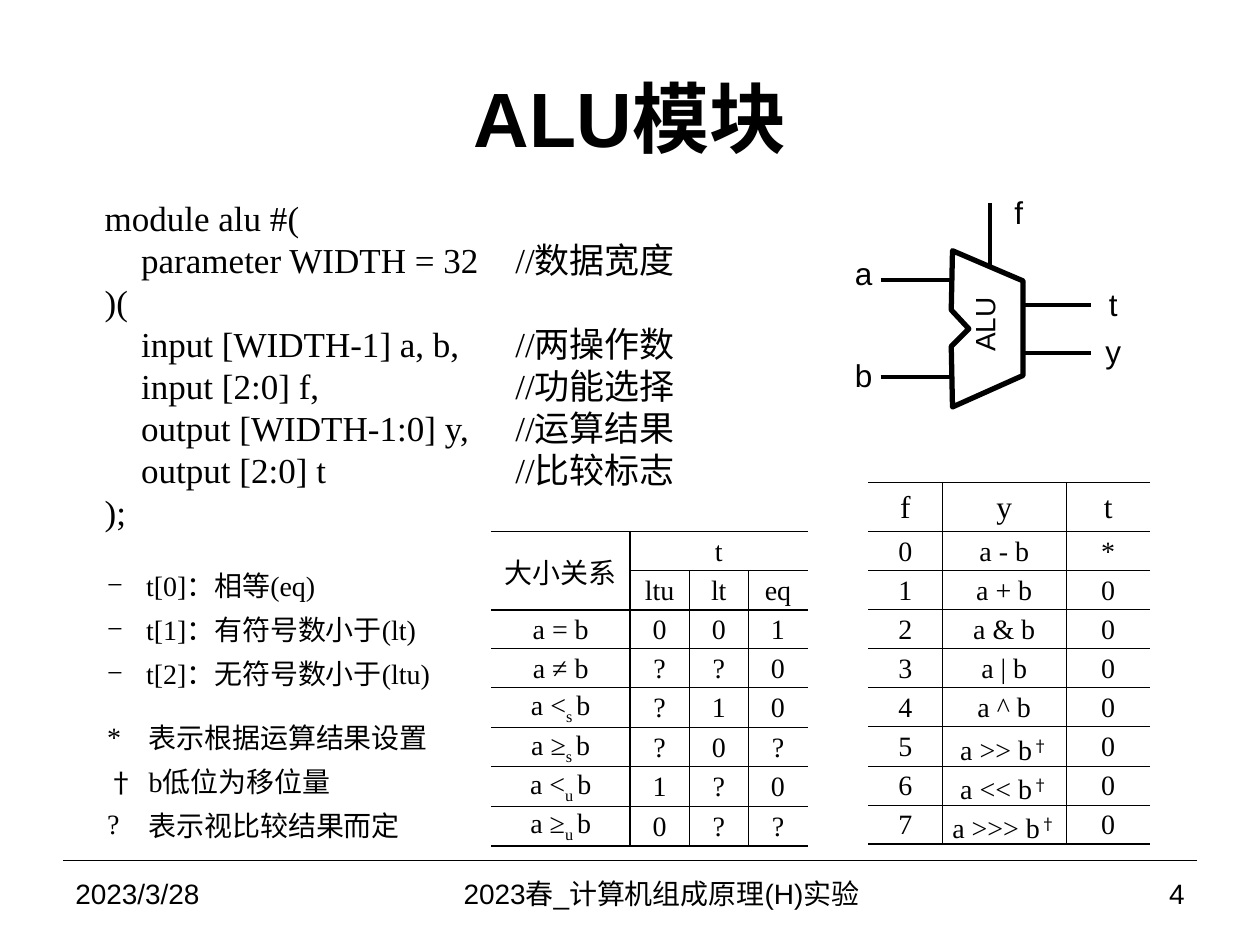
from dataclasses import dataclass

from lxml import etree
from pptx import Presentation
from pptx.dml.color import RGBColor
from pptx.enum import shapes, text
from pptx.oxml import ns
from pptx.util import Inches, Pt

ALIGN, ANCHOR = text.PP_ALIGN, text.MSO_ANCHOR


@dataclass(frozen=True)
class Theme:
    ink: RGBColor = RGBColor(0, 0, 0)
    sans: str = "Arial"
    serif: str = "Times New Roman"
    cjk: str = "Noto Sans CJK SC"
    title: int = 44
    code: int = 20
    code_pitch: int = 24
    label: int = 18
    small: int = 16
    rule: float = 0.75
    wire: float = 2.25
    outline: int = 3
    thick: float = 1
    thin: float = 0.5


T = Theme()
SUB, SUP = -25000, 30000
DAGGER = ("†", SUP)
FLAT = dict.fromkeys(("margin_left", "margin_right", "margin_top", "margin_bottom"), 0)
CELL = {**dict.fromkeys(("margin_left", "margin_right", "margin_top"), Inches(0.01)),
        "margin_bottom": 0, "vertical_anchor": ANCHOR.MIDDLE}


def put(obj, values):
    for name, value in values.items():
        setattr(obj, name, value)


def node(parent, tag, **attrs):
    return etree.SubElement(parent, ns.qn(tag), {k: str(v) for k, v in attrs.items()})


def add_run(p, words, size, font=T.serif, bold=False, baseline=0):
    r = p.add_run()
    r.text = words
    put(r.font, {"name": font, "size": Pt(size), "bold": bold})
    r.font.color.rgb = T.ink
    node(r.font._element, "a:ea", typeface=T.cjk)
    if baseline:
        r.font._element.set("baseline", str(baseline))


def next_paragraph(tf, i):
    return tf.add_paragraph() if i else tf.paragraphs[0]


def place(s, box):
    put(s, dict(zip(("left", "top", "width", "height"), map(Inches, box))))


def add_text(parent, box, words, size, align=None, **frame):
    tf = parent.add_textbox(*map(Inches, box)).text_frame
    put(tf, {"word_wrap": True, "vertical_anchor": ANCHOR.MIDDLE, **frame})
    tf.paragraphs[0].alignment = align
    add_run(tf.paragraphs[0], words, size, T.sans)
    return tf


def add_line(parent, x1, y1, x2, y2, width):
    c = parent.add_connector(shapes.MSO_CONNECTOR.STRAIGHT, *map(Inches, (x1, y1, x2, y2)))
    c.line.color.rgb = T.ink
    c.line.width = Pt(width)
    node(c._element.spPr, "a:effectLst")


def add_title(slide, box):
    s = slide.shapes.title
    place(s, box)
    s.text_frame.vertical_anchor = ANCHOR.MIDDLE
    p = s.text_frame.paragraphs[0]
    p.alignment = ALIGN.CENTER
    add_run(p, "ALU模块", T.title, T.sans, True)


def add_code_column(slide, box, lines, **frame):
    tf = slide.shapes.add_textbox(*map(Inches, box)).text_frame
    put(tf, {"word_wrap": True, **frame})
    for i, (level, skipped, words) in enumerate(lines):
        p = next_paragraph(tf, i)
        put(p, {"line_spacing": Pt(T.code_pitch), "space_before": Pt(T.code_pitch * skipped)})
        p._p.get_or_add_pPr().set("indent", str(Inches(0.29 * level)))
        add_run(p, words, T.code)


def add_code(slide, x, y, width, height):
    code = [(0, "module alu #("), (1, "parameter WIDTH = 32"), (0, ")("),
            (1, "input [WIDTH-1] a, b,"), (1, "input [2:0] f,"),
            (1, "output [WIDTH-1:0] y,"), (1, "output [2:0] t"), (0, ");")]
    comments = [(0, "//数据宽度"), (1, "//两操作数"), (0, "//功能选择"),
                (0, "//运算结果"), (0, "//比较标志")]
    split = 3.65
    add_code_column(slide, (x, y, split, height), [(level, 0, words) for level, words in code],
                    margin_left=Inches(0.39))
    pitch = T.code_pitch / 72
    add_code_column(slide, (x + split, y + pitch, width - split, height - 2 * pitch),
                    [(0, skipped, words) for skipped, words in comments], margin_left=0)


def add_notes(slide, box):
    notes = [("−", "t[0]：相等(eq)"), ("−", "t[1]：有符号数小于(lt)"),
             ("−", "t[2]：无符号数小于(ltu)"), ("*", "表示根据运算结果设置"),
             ("†", "b低位为移位量"), ("?", "表示视比较结果而定")]
    s = slide.placeholders[1]
    place(s, box)
    tf = s.text_frame
    put(tf, {"vertical_anchor": ANCHOR.MIDDLE, "auto_size": text.MSO_AUTO_SIZE.NONE})
    for i, (mark, words) in enumerate(notes):
        p = next_paragraph(tf, i)
        put(p, {"line_spacing": Pt(19), "space_after": Pt(6),
                "space_before": Pt(12 if mark == "*" else 0)})
        pPr = p._p.get_or_add_pPr()
        hang = Inches(0.31 if mark == "−" else 0.33)
        pPr.set("marL", str(hang))
        pPr.set("indent", str(-hang))
        node(pPr, "a:buFont", typeface=T.cjk if mark == "†" else T.serif)
        node(pPr, "a:buChar", char=mark)
        add_run(p, words, T.small)


def add_alu(slide, x, y):
    g = slide.shapes.add_group_shape().shapes
    wires = [(0.3, 0.67, 0.86, 0.67), (0.3, 1.44, 0.86, 1.44), (1.41, 0.87, 1.97, 0.87),
             (1.41, 1.25, 1.97, 1.25), (1.17, 0.06, 1.17, 0.56)]
    for x1, y1, x2, y2 in wires:
        add_line(g, x + x1, y + y1, x + x2, y + y2, T.wire)

    corners = [(0.87, 0.44), (1.43, 0.68), (1.43, 1.43), (0.87, 1.68),
               (0.86, 1.2), (1, 1.06), (0.86, 0.91)]
    points = [(Inches(x + dx), Inches(y + dy)) for dx, dy in corners]
    outline = g.build_freeform(*points[0])
    outline.add_line_segments(points[1:], close=True)
    s = outline.convert_to_shape()
    s.shadow.inherit = False
    s.fill.background()
    s.line.color.rgb = T.ink
    s.line.width = Pt(T.outline)

    ports = [("a", 0, 0.48, 0.33), ("b", 0, 1.29, 0.33), ("t", 1.98, 0.73, 0.33),
             ("y", 1.98, 1.1, 0.33), ("f", 1.11, 0, 0.57)]
    for name, dx, dy, width in ports:
        add_text(g, (x + dx, y + dy, width, 0.27), name, T.label, ALIGN.CENTER, **FLAT)
    tf = add_text(g, (x + 0.94, y + 0.8, 0.47, 0.54), "ALU", T.small,
                  word_wrap=False, vertical_anchor=ANCHOR.TOP)
    tf._txBody.bodyPr.set("vert", "vert270")


def add_border(cell, side, width):
    tcPr = cell._tc.get_or_add_tcPr()
    ln = node(tcPr, "a:ln" + side, w=Pt(width))
    if width:
        node(node(ln, "a:solidFill"), "a:srgbClr", val=T.ink)
    else:
        node(ln, "a:noFill")


def add_grid(slide, x, y, cols, heights, rows, header, head_size, merges=()):
    box = (x, y, sum(cols), sum(heights))
    t = slide.shapes.add_table(len(rows), len(cols), *map(Inches, box)).table
    put(t, {"first_row": False, "horz_banding": False})
    for col, width in zip(t.columns, cols):
        col.width = Inches(width)
    for row, height in zip(t.rows, heights):
        row.height = Inches(height)
    for first, last in merges:
        t.cell(*first).merge(t.cell(*last))

    across = [T.thick if i in (0, header, len(rows)) else T.thin for i in range(len(rows) + 1)]
    down = [0, T.thick] + [T.thin] * (len(cols) - 2) + [0]
    for i, row in enumerate(rows):
        for j, content in enumerate(row):
            cell = t.cell(i, j)
            if cell.is_spanned:
                continue
            put(cell, CELL)
            bottom = i + (cell.span_height if cell.is_merge_origin else 1)
            right = j + (cell.span_width if cell.is_merge_origin else 1)
            for side, width in (("L", down[j]), ("R", down[right]),
                                ("T", across[i]), ("B", across[bottom])):
                add_border(cell, side, width)
            cell.fill.background()
            p = cell.text_frame.paragraphs[0]
            p.alignment = ALIGN.CENTER
            for words, baseline in [(content, 0)] if isinstance(content, str) else content:
                add_run(p, words, head_size if i < header else T.small,
                        T.cjk if baseline == SUP else T.serif, baseline=baseline)


def add_function_table(slide, x, y):
    results = ["a - b", "a + b", "a & b", "a | b", "a ^ b"]
    results += [[(f"a {op} b", 0), DAGGER] for op in (">>", "<<", ">>>")]
    rows = [["f", "y", "t"]]
    rows += [[str(i), result, "0" if i else "*"] for i, result in enumerate(results)]
    add_grid(slide, x, y, [0.59, 0.98, 0.67], [0.39] + [0.31] * 8, rows, 1, T.label)


def add_compare_table(slide, x, y):
    relations = ["a = b", "a ≠ b"]
    relations += [[(f"a {op}", 0), (sign + " ", SUB), ("b", 0)] for sign in "su" for op in "<≥"]
    flags = ["001", "??0", "?10", "?0?", "1?0", "0??"]
    rows = [["大小关系", "t", "", ""], ["", "ltu", "lt", "eq"]]
    rows += [[relation, *values] for relation, values in zip(relations, flags)]
    add_grid(slide, x, y, [1.1] + [0.47] * 3, [0.31] * 8, rows, 2, T.small,
             [((0, 0), (1, 0)), ((0, 1), (0, 3))])


def add_footer(slide, x, y, width, height):
    add_line(slide.shapes, x, y, x + width, y, T.rule)
    parts = [("2023/3/28", 2.33, ALIGN.LEFT),
             ("2023春_计算机组成原理(H)实验", 4.84, ALIGN.CENTER), ("4", 1.83, ALIGN.RIGHT)]
    for words, part, align in parts:
        add_text(slide.shapes, (x, y, part, height), words, T.small, align)
        x += part


def main():
    prs = Presentation()
    put(prs, {"slide_width": Inches(10), "slide_height": Inches(7.5)})
    slide = prs.slides.add_slide(prs.slide_layouts[1])
    add_title(slide, (0.5, 0.3, 9, 1.25))
    add_alu(slide, 6.69, 1.55)
    add_notes(slide, (0.75, 4.42, 3.05, 2.36))
    add_code(slide, 0.44, 1.51, 6.19, 2.79)
    add_footer(slide, 0.5, 6.83, 9, 0.52)
    add_function_table(slide, 6.89, 3.83)
    add_compare_table(slide, 3.9, 4.22)
    prs.save("out.pptx")


if __name__ == "__main__":
    main()
